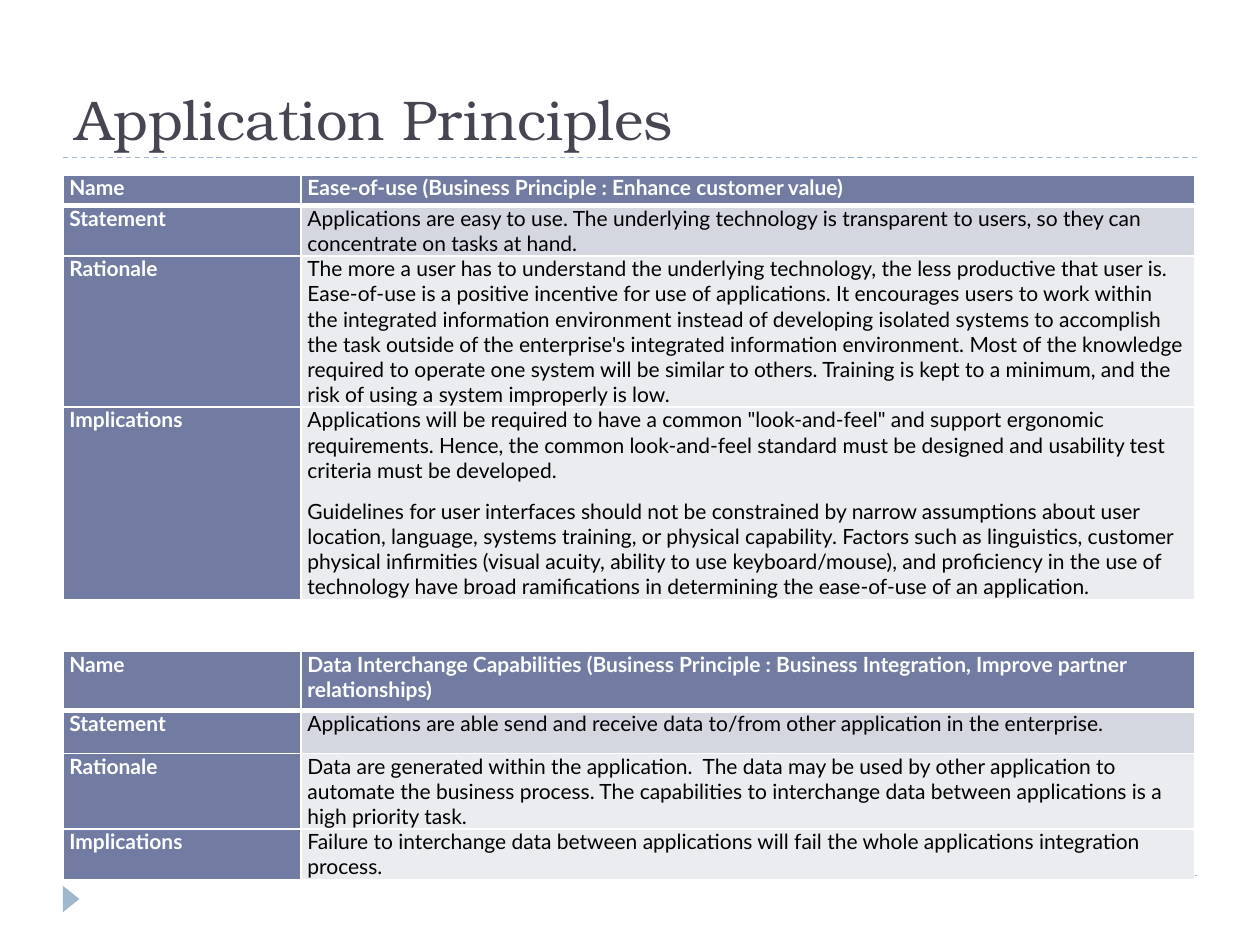
from lxml import etree
from pptx import Presentation
from pptx.dml.color import RGBColor
from pptx.enum import dml, shapes, text
from pptx.oxml import ns
from pptx.util import Pt

WHITE = RGBColor(0xFF, 0xFF, 0xFF)
BLACK = RGBColor(0, 0, 0)
SLATE = RGBColor(0x46, 0x46, 0x53)
SKY = RGBColor(0x9F, 0xB8, 0xCD)
INDIGO = RGBColor(0x72, 0x7C, 0xA3)
BAND_DARK = RGBColor(0xD5, 0xD7, 0xE0)
BAND_LIGHT = RGBColor(0xEB, 0xEC, 0xF0)

LEFT = 36
COLUMNS = (136.1, 510.5)
LABELS = ("Name", "Statement", "Rationale", "Implications")

EASE_OF_USE = (
    ["Ease-of-use (Business Principle : Enhance customer value)"],
    ["Applications are easy to use. The underlying technology is transparent to users, "
     "so they can concentrate on tasks at hand."],
    ["The more a user has to understand the underlying technology, the less productive "
     "that user is. Ease-of-use is a positive incentive for use of applications. It "
     "encourages users to work within the integrated information environment instead of "
     "developing isolated systems to accomplish the task outside of the enterprise's "
     "integrated information environment. Most of the knowledge required to operate one "
     "system will be similar to others. Training is kept to a minimum, and the risk of "
     "using a system improperly is low."],
    ["Applications will be required to have a common \"look-and-feel\" and support "
     "ergonomic requirements. Hence, the common look-and-feel standard must be designed "
     "and usability test criteria must be developed.",
     "Guidelines for user interfaces should not be constrained by narrow assumptions "
     "about user location, language, systems training, or physical capability. Factors "
     "such as linguistics, customer physical infirmities (visual acuity, ability to use "
     "keyboard/mouse), and proficiency in the use of technology have broad ramifications "
     "in determining the ease-of-use of an application."],
)
DATA_INTERCHANGE = (
    ["Data Interchange Capabilities (Business Principle : Business Integration, "
     "Improve partner relationships)"],
    ["Applications are able send and receive data to/from other application in the "
     "enterprise."],
    ["Data are generated within the application.  The data may be used by other "
     "application to automate the business process. The capabilities to interchange data "
     "between applications is a high priority task."],
    ["Failure to interchange data between applications will fail the whole applications "
     "integration process."],
)


def write(frame, paragraphs, font="Lato", size=12, color=BLACK, bold=False,
          before=0, after=0):
    frame.word_wrap = True
    for index, wording in enumerate(paragraphs):
        paragraph = frame.paragraphs[0] if index == 0 else frame.add_paragraph()
        paragraph.space_before, paragraph.space_after = Pt(before), Pt(after)
        run = paragraph.add_run()
        run.text = wording
        run.font.name, run.font.size = font, Pt(size)
        run.font.bold, run.font.color.rgb = bold, color


def add_rule(slide, y):
    rule = slide.shapes.add_connector(
        shapes.MSO_CONNECTOR.STRAIGHT, Pt(LEFT), Pt(y), Pt(684), Pt(y))
    rule.line.color.rgb = SKY
    rule.line.width = Pt(0.75)
    rule.line.dash_style = dml.MSO_LINE.DASH
    etree.SubElement(rule._element.spPr, ns.qn("a:effectLst"))


def add_page_marker(slide):
    marker = slide.shapes.add_shape(
        shapes.MSO_SHAPE.ISOSCELES_TRIANGLE, Pt(33.1), Pt(509), Pt(15.1), Pt(9.4))
    marker.rotation = 90
    marker.shadow.inherit = False
    marker.fill.solid()
    marker.fill.fore_color.rgb = SKY
    marker.line.fill.background()


def add_title(slide, wording):
    title = slide.shapes.add_textbox(Pt(LEFT), Pt(12.2), Pt(648), Pt(77.8))
    title.text_frame.vertical_anchor = text.MSO_ANCHOR.BOTTOM
    write(title.text_frame, [wording], font="TeX Gyre Bonum", size=32, color=SLATE)


def set_borders(cell, top, bottom):
    properties = cell._tc.get_or_add_tcPr()
    widths = (("lnL", 1), ("lnR", 1), ("lnT", top), ("lnB", bottom))
    for position, (side, width) in enumerate(widths):
        border = etree.Element(ns.qn("a:" + side), w=str(Pt(width)))
        fill = etree.SubElement(border, ns.qn("a:solidFill"))
        etree.SubElement(fill, ns.qn("a:srgbClr"), val=str(WHITE))
        properties.insert(position, border)


def fill_cell(cell, paragraphs, fill, row, heading):
    cell.margin_left = cell.margin_right = Pt(3.6)
    cell.margin_top = cell.margin_bottom = Pt(0)
    cell.fill.solid()
    cell.fill.fore_color.rgb = fill
    set_borders(cell, top=3 if row == 1 else 1, bottom=3 if row == 0 else 1)
    write(cell.text_frame, paragraphs, color=WHITE if heading else BLACK,
          bold=heading, before=6, after=3)


def add_principle(slide, top, height, row_heights, details):
    frame = slide.shapes.add_table(
        len(LABELS), len(COLUMNS), Pt(LEFT), Pt(top), Pt(sum(COLUMNS)), Pt(height))
    principle = frame.table
    for column, width in zip(principle.columns, COLUMNS):
        column.width = Pt(width)
    detail_fills = (INDIGO, BAND_DARK, BAND_LIGHT, BAND_LIGHT)
    for row, (label, detail) in enumerate(zip(LABELS, details)):
        principle.rows[row].height = Pt(row_heights[row])
        fill_cell(principle.cell(row, 0), [label], INDIGO, row, True)
        fill_cell(principle.cell(row, 1), detail, detail_fills[row], row, row == 0)
    frame.height = Pt(height)


def main():
    deck = Presentation()
    deck.slide_width, deck.slide_height = Pt(720), Pt(540)
    slide = deck.slides.add_slide(deck.slide_layouts[6])
    for y in (500.4, 90):
        add_rule(slide, y)
    add_page_marker(slide)
    add_title(slide, "Application Principles")
    add_principle(slide, 100.1, 256.3, (17.3, 24.5, 22.3, 18.7), EASE_OF_USE)
    add_principle(slide, 372.2, 130.3, (33.8, 24.5, 22.3, 23), DATA_INTERCHANGE)
    deck.save("out.pptx")


main()
